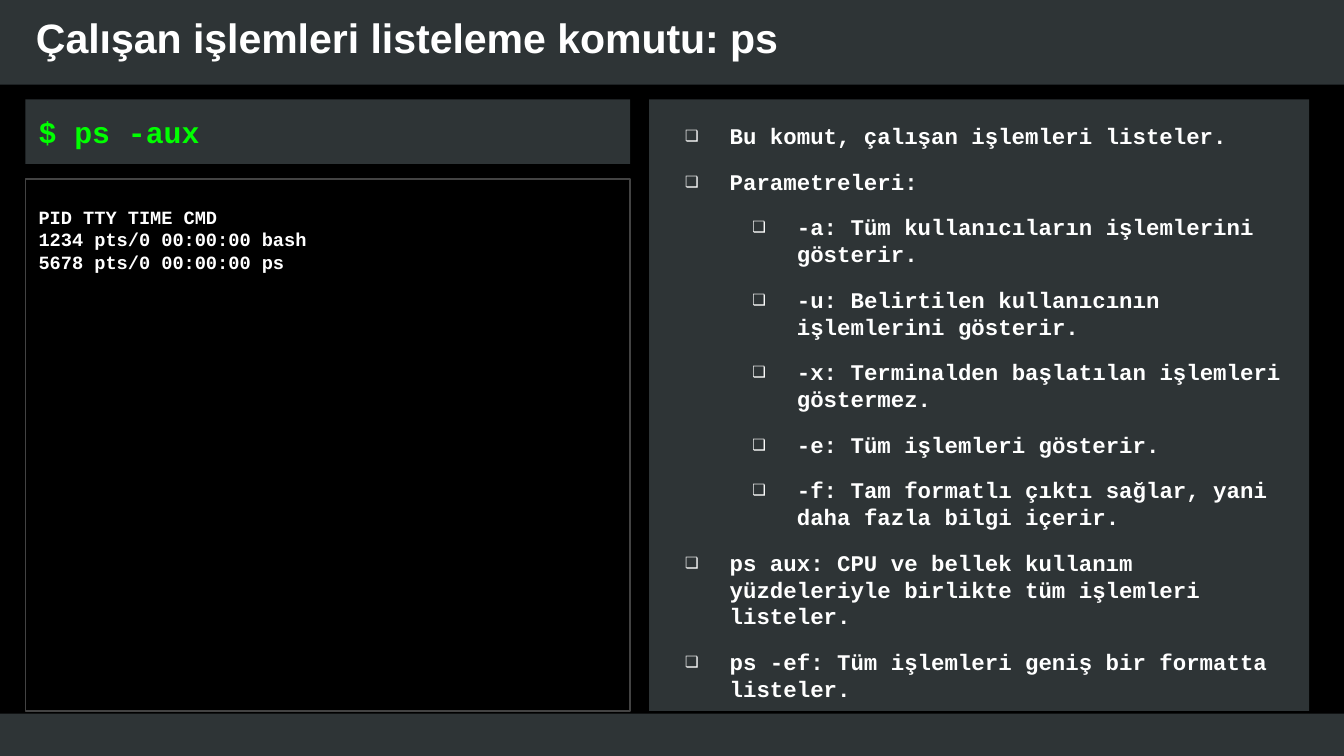
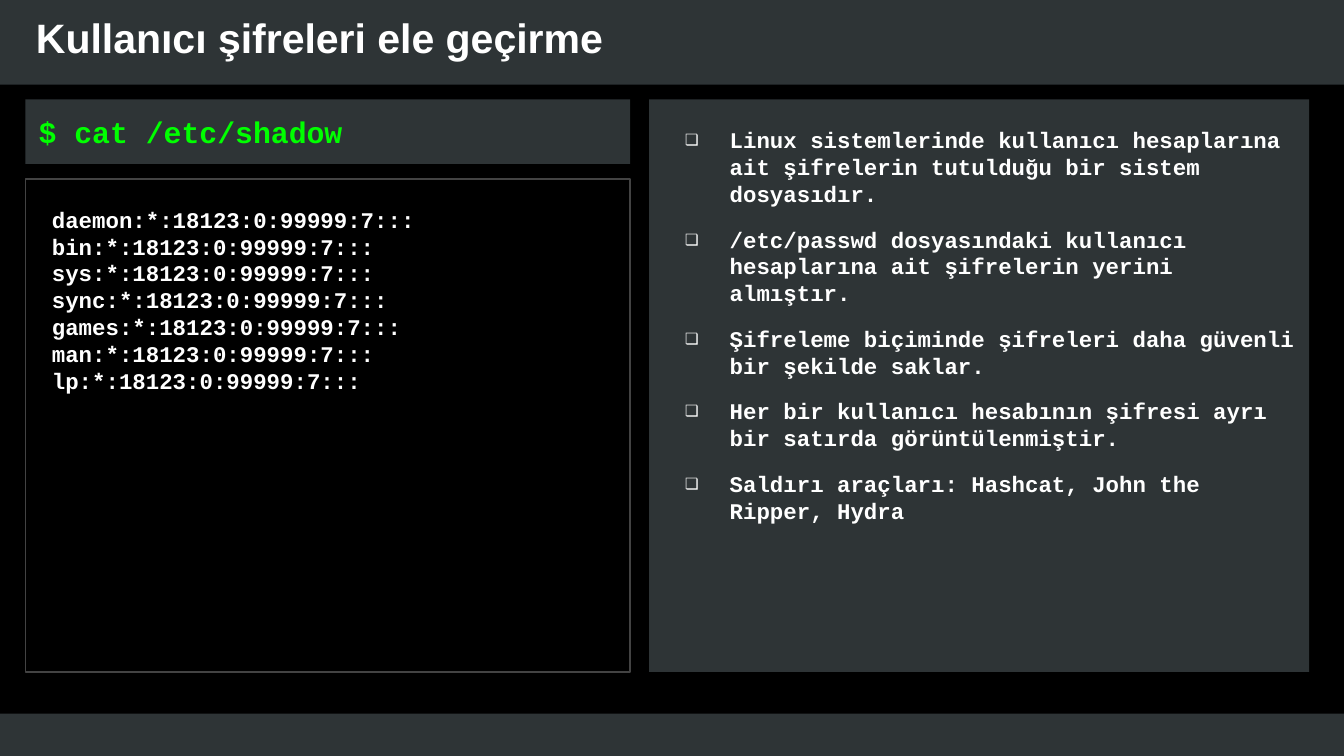
from dataclasses import dataclass

from lxml import etree
from pptx import Presentation
from pptx.dml.color import RGBColor
from pptx.enum.shapes import MSO_SHAPE
from pptx.enum.text import MSO_ANCHOR, MSO_AUTO_SIZE, PP_ALIGN
from pptx.oxml.ns import qn
from pptx.util import Cm, Pt

RECTANGLE = MSO_SHAPE.RECTANGLE
TOP, MIDDLE = MSO_ANCHOR.TOP, MSO_ANCHOR.MIDDLE
NO_AUTOFIT = MSO_AUTO_SIZE.NONE
LEFT = PP_ALIGN.LEFT

COLORS = {
    "background": "000000",
    "panel": "2E3436",
    "border": "434343",
    "text": "FFFFFF",
    "command": "00FF00",
}
TITLE_FONT, CODE_FONT = "Arial", "Courier New"
COMPARISON_LAYOUT = 4
OUTPUT, COMMAND, BULLETS, SPARE = 1, 2, 3, 4

INSET, TOP_INSET = 0.25, 0.51
INDENT_STEP, HANGING = 1.27, -0.84
PANEL_TOP, OUTPUT_TOP = 1.88, 3.38


@dataclass(frozen=True)
class Box:
    left: float
    top: float
    width: float
    height: float


@dataclass(frozen=True)
class TextStyle:
    size: int
    color: str = "text"
    font: str = CODE_FONT
    margin: float = 0
    bullet: str = ""
    gap: int = 0


@dataclass(frozen=True)
class Line:
    text: str
    level: int = 0


@dataclass(frozen=True)
class CommandSlide:
    title: str
    command: str
    output: list[str]
    output_style: TextStyle
    bullets: list[Line]
    bullets_anchor: MSO_ANCHOR
    bottom: float


TITLE_BOX = Box(0.43, 0, 21.79, 1.42)
COMMAND_BOX = Box(0.48, PANEL_TOP, 11.43, 1.22)
BANDS = [Box(-0.08, 13.49, 25.6, 0.94), Box(-0.08, -0.2, 25.56, 1.8)]

TITLE_STYLE = TextStyle(22, font=TITLE_FONT)
COMMAND_STYLE = TextStyle(16, "command", margin=INSET)
BULLETS_STYLE = TextStyle(12, margin=INDENT_STEP, bullet="❏", gap=10)

SLIDES = [
    CommandSlide(
        "Çalışan işlemleri listeleme komutu: ps",
        "$ ps -aux",
        ["PID TTY TIME CMD", "1234 pts/0 00:00:00 bash", "5678 pts/0 00:00:00 ps"],
        TextStyle(10),
        [
            Line("Bu komut, çalışan işlemleri listeler."),
            Line("Parametreleri:"),
            Line("-a: Tüm kullanıcıların işlemlerini gösterir.", 1),
            Line("-u: Belirtilen kullanıcının işlemlerini gösterir.", 1),
            Line("-x: Terminalden başlatılan işlemleri göstermez.", 1),
            Line("-e: Tüm işlemleri gösterir.", 1),
            Line("-f: Tam formatlı çıktı sağlar, yani daha fazla bilgi içerir.", 1),
            Line("ps aux: CPU ve bellek kullanım yüzdeleriyle birlikte tüm işlemleri listeler."),
            Line("ps -ef: Tüm işlemleri geniş bir formatta listeler."),
        ],
        MIDDLE,
        13.44,
    ),
    CommandSlide(
        "Kullanıcı şifreleri ele geçirme",
        "$ cat /etc/shadow",
        [f"{user}:*:18123:0:99999:7:::"
         for user in ("daemon", "bin", "sys", "sync", "games", "man", "lp")],
        TextStyle(12, margin=INSET),
        [
            Line("Linux sistemlerinde kullanıcı hesaplarına ait şifrelerin tutulduğu bir sistem dosyasıdır."),
            Line("/etc/passwd dosyasındaki kullanıcı hesaplarına ait şifrelerin yerini almıştır."),
            Line("Şifreleme biçiminde şifreleri daha güvenli bir şekilde saklar."),
            Line("Her bir kullanıcı hesabının şifresi ayrı bir satırda görüntülenmiştir."),
            Line("Saldırı araçları: Hashcat, John the Ripper, Hydra"),
        ],
        TOP,
        12.7,
    ),
]


def rgb(name: str) -> RGBColor:
    return RGBColor.from_string(COLORS[name])


def fill_shape(shape, color: str) -> None:
    shape.fill.solid()
    shape.fill.fore_color.rgb = rgb(color)


def place(shape, box: Box) -> None:
    shape.left, shape.top = Cm(box.left), Cm(box.top)
    shape.width, shape.height = Cm(box.width), Cm(box.height)


def set_bullet(paragraph, style: TextStyle, level: int) -> None:
    properties = paragraph._p.get_or_add_pPr()
    margin = style.margin + level * INDENT_STEP
    properties.set("marL", str(Cm(margin)))
    properties.set("indent", str(Cm(HANGING if style.bullet else 0)))
    if not style.bullet:
        etree.SubElement(properties, qn("a:buNone"))
        return
    color = etree.SubElement(properties, qn("a:buClr"))
    etree.SubElement(color, qn("a:srgbClr"), val=COLORS[style.color])
    etree.SubElement(properties, qn("a:buFont"), typeface=style.font)
    etree.SubElement(properties, qn("a:buChar"), char=style.bullet)


def write(shape, lines: list[Line], style: TextStyle, anchor: MSO_ANCHOR,
          inset: float = INSET, top_inset: float = INSET) -> None:
    frame = shape.text_frame
    frame.word_wrap = True
    frame.auto_size = NO_AUTOFIT
    frame.vertical_anchor = anchor
    frame.margin_left = frame.margin_right = frame.margin_bottom = Cm(inset)
    frame.margin_top = Cm(top_inset)
    frame.text = "\n".join(line.text for line in lines)
    for index, (paragraph, line) in enumerate(zip(frame.paragraphs, lines)):
        paragraph.level = line.level
        paragraph.alignment = LEFT
        paragraph.space_before = Pt(style.gap if index else 0)
        paragraph.space_after = Pt(style.gap if index == len(lines) - 1 else 0)
        set_bullet(paragraph, style, line.level)
        paragraph.font.name = style.font
        paragraph.font.size = Pt(style.size)
        paragraph.font.bold = True
        paragraph.font.color.rgb = rgb(style.color)


def add_master_bands(presentation, slide) -> None:
    master = presentation.slide_master
    master.background.fill.solid()
    master.background.fill.fore_color.rgb = rgb("background")
    for position, box in enumerate(BANDS, start=2):
        band = slide.shapes.add_shape(RECTANGLE, 0, 0, 0, 0)
        place(band, box)
        fill_shape(band, "panel")
        band.line.fill.background()
        band.shadow.inherit = False
        master.shapes.element.insert(position, band.element)


def fill_slide(slide, content: CommandSlide) -> None:
    title = slide.shapes.title
    place(title, TITLE_BOX)
    write(title, [Line(content.title)], TITLE_STYLE, MIDDLE)

    output = slide.placeholders[OUTPUT]
    place(output, Box(0.48, OUTPUT_TOP, 11.43, content.bottom - OUTPUT_TOP))
    output.line.color.rgb = rgb("border")
    output.line.width = Pt(0.75)
    write(output, [Line(text) for text in content.output], content.output_style,
          TOP, top_inset=TOP_INSET)

    command = slide.placeholders[COMMAND]
    place(command, COMMAND_BOX)
    fill_shape(command, "panel")
    write(command, [Line(content.command)], COMMAND_STYLE, MIDDLE, 0, 0)

    bullets = slide.placeholders[BULLETS]
    place(bullets, Box(12.27, PANEL_TOP, 12.47, content.bottom - PANEL_TOP))
    fill_shape(bullets, "panel")
    write(bullets, content.bullets, BULLETS_STYLE, content.bullets_anchor,
          top_inset=TOP_INSET)

    spare = slide.placeholders[SPARE].element
    spare.getparent().remove(spare)


def main() -> None:
    presentation = Presentation()
    presentation.slide_width, presentation.slide_height = Cm(25.4), Cm(14.29)
    layout = presentation.slide_layouts[COMPARISON_LAYOUT]
    for index, content in enumerate(SLIDES):
        slide = presentation.slides.add_slide(layout)
        if index == 0:
            add_master_bands(presentation, slide)
        fill_slide(slide, content)
    presentation.save("out.pptx")


if __name__ == "__main__":
    main()
